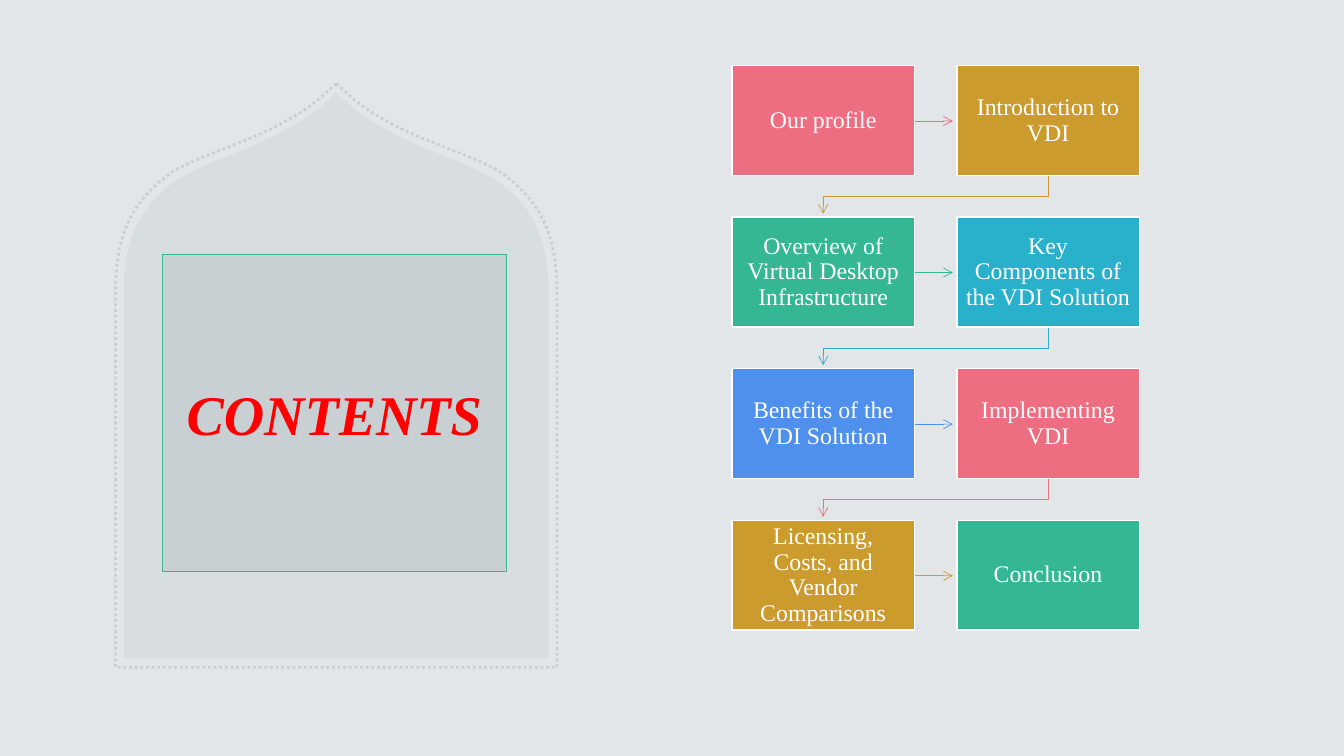
from itertools import cycle
from lxml.etree import SubElement
from pptx import Presentation
from pptx.dml.color import RGBColor
from pptx.enum.dml import MSO_LINE
from pptx.enum.shapes import MSO_CONNECTOR, MSO_SHAPE
from pptx.enum.text import MSO_ANCHOR, PP_ALIGN
from pptx.oxml.ns import qn
from pptx.util import Inches, Pt


def paint(part, tone):
    part.solid()
    part.fore_color.rgb = RGBColor.from_string(tone)


def outline(shape, tone, width, arrow=False):
    paint(shape.line.fill, tone)
    shape.line.width = Pt(width)
    if arrow:
        SubElement(shape.line._get_or_add_ln(), qn("a:tailEnd"), type="arrow")


deck = Presentation()
deck.slide_width = Inches(13.33)
deck.slide_height = Inches(7.5)
slide = deck.slides.add_slide(deck.slide_layouts[5])
paint(slide.background.fill, "E2E6E8")
shapes = slide.shapes

mid = 3.335
inner = [(0, 0.92), (0.18, 1.08), (0.64, 1.44), (1.16, 1.54), (1.56, 1.77),
         (1.94, 2.03), (2.11, 2.34), (2.11, 2.95), (2.11, 6.53)]
outer = [(0, 0.83), (0.19, 1), (0.67, 1.37), (1.21, 1.47), (1.62, 1.7),
         (2.01, 1.98), (2.19, 2.29), (2.19, 2.92), (2.19, 6.62)]
steps = 16
for knots in (inner, outer):
    side = knots[:2]
    for first in (1, 4):
        curve = knots[first:first + 4]
        for step in range(1, steps + 1):
            t = step / steps
            parts = ((1 - t) ** 3, 3 * t * (1 - t) ** 2, 3 * t * t * (1 - t), t ** 3)
            side.append(tuple(sum(w * p[axis] for w, p in zip(parts, curve)) for axis in (0, 1)))
    side.append(knots[-1])
    ring = side + [(-x, y) for x, y in side[:0:-1]]
    points = [(Inches(mid + x), Inches(y)) for x, y in ring]
    pen = shapes.build_freeform(*points[0])
    pen.add_line_segments(points[1:], close=True)
    arch = pen.convert_to_shape()
    arch.shadow.inherit = False
    if knots is inner:
        paint(arch.fill, "A2AFB5")
        SubElement(arch.fill._xPr.find(".//" + qn("a:srgbClr")), qn("a:alpha"), val="15000")
        arch.line.fill.background()
    else:
        arch.fill.background()
        outline(arch, "C8D0D4", 2)
        arch.line.dash_style = MSO_LINE.ROUND_DOT

title = shapes.title
title.left, title.top = Inches(1.61), Inches(2.52)
title.width, title.height = Inches(3.41), Inches(3.15)
paint(title.fill, "C8D0D4")
outline(title, "35B695", 0.5)
frame = title.text_frame
frame.text = "CONTENTS"
frame.vertical_anchor = MSO_ANCHOR.MIDDLE
para = frame.paragraphs[0]
para.alignment = PP_ALIGN.CENTER
para.font.name = "Times New Roman"
para.font.size = Pt(40)
para.font.bold = para.font.italic = True
para.font.color.rgb = RGBColor.from_string("FF0000")
title.element.getparent().append(title.element)

topics = ["Our profile", "Introduction to VDI",
          "Overview of Virtual Desktop Infrastructure",
          "Key Components of the VDI Solution",
          "Benefits of the VDI Solution", "Implementing VDI",
          "Licensing, Costs, and Vendor Comparisons", "Conclusion"]
tones = cycle(["EE6E81", "CC9B2E", "35B695", "29B1CB", "4E90EB"])
left, top, wide, high = 7.26, 0.65, 1.81, 1.09
across, down = 2.23, 1.504

for index, (topic, tone) in enumerate(zip(topics, tones)):
    row, col = divmod(index, 2)
    x, y = left + col * across, top + row * down
    end = y + high

    if col == 0:
        level = Inches(y + 0.55)
        link = shapes.add_connector(MSO_CONNECTOR.STRAIGHT, Inches(x + wide), level,
                                    Inches(x + wide + 0.38), level)
        outline(link, tone, 0.5, True)
        SubElement(link.element.spPr, qn("a:effectLst"))
    elif index < len(topics) - 1:
        start = x + wide / 2
        goal = start - across
        pen = shapes.build_freeform(Inches(start), Inches(end))
        pen.add_line_segments([(Inches(a), Inches(b)) for a, b in
                               ((start, end + 0.21), (goal, end + 0.21), (goal, end + 0.38))],
                              close=False)
        link = pen.convert_to_shape()
        link.shadow.inherit = False
        link.fill.background()
        outline(link, tone, 0.5, True)

    box = shapes.add_shape(MSO_SHAPE.RECTANGLE, Inches(x), Inches(y), Inches(wide), Inches(high))
    box.shadow.inherit = False
    paint(box.fill, tone)
    outline(box, "FFFFFF", 1)
    frame = box.text_frame
    frame.word_wrap = True
    frame.vertical_anchor = MSO_ANCHOR.MIDDLE
    frame.margin_left = frame.margin_right = Inches(0.09)
    frame.margin_top = frame.margin_bottom = Inches(0.09)
    frame.text = topic
    para = frame.paragraphs[0]
    para.alignment = PP_ALIGN.CENTER
    para.line_spacing = 0.9
    para.font.name = "Times New Roman"
    para.font.size = Pt(17)
    para.font.color.rgb = RGBColor.from_string("FFFFFF")

deck.save("out.pptx")
